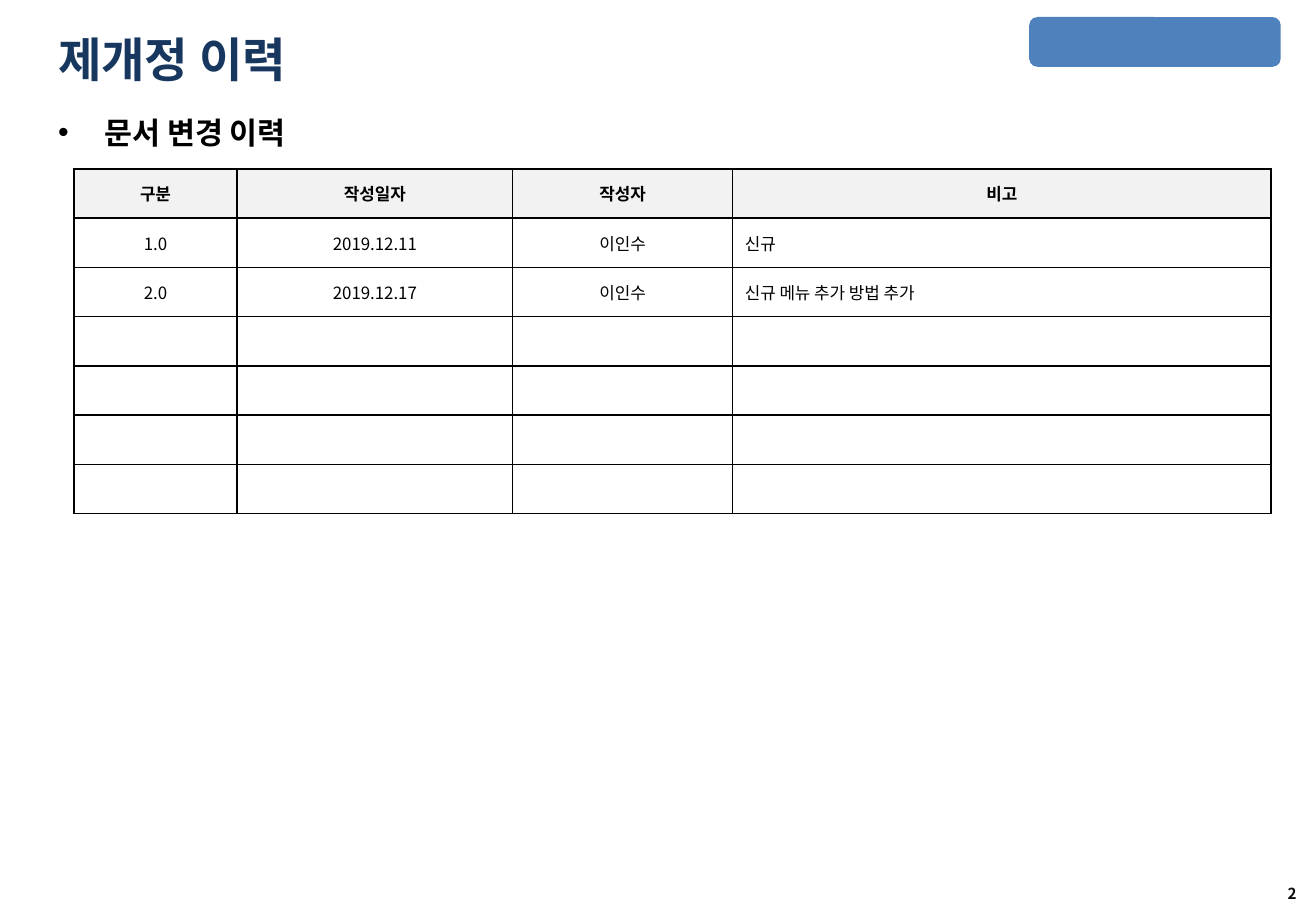
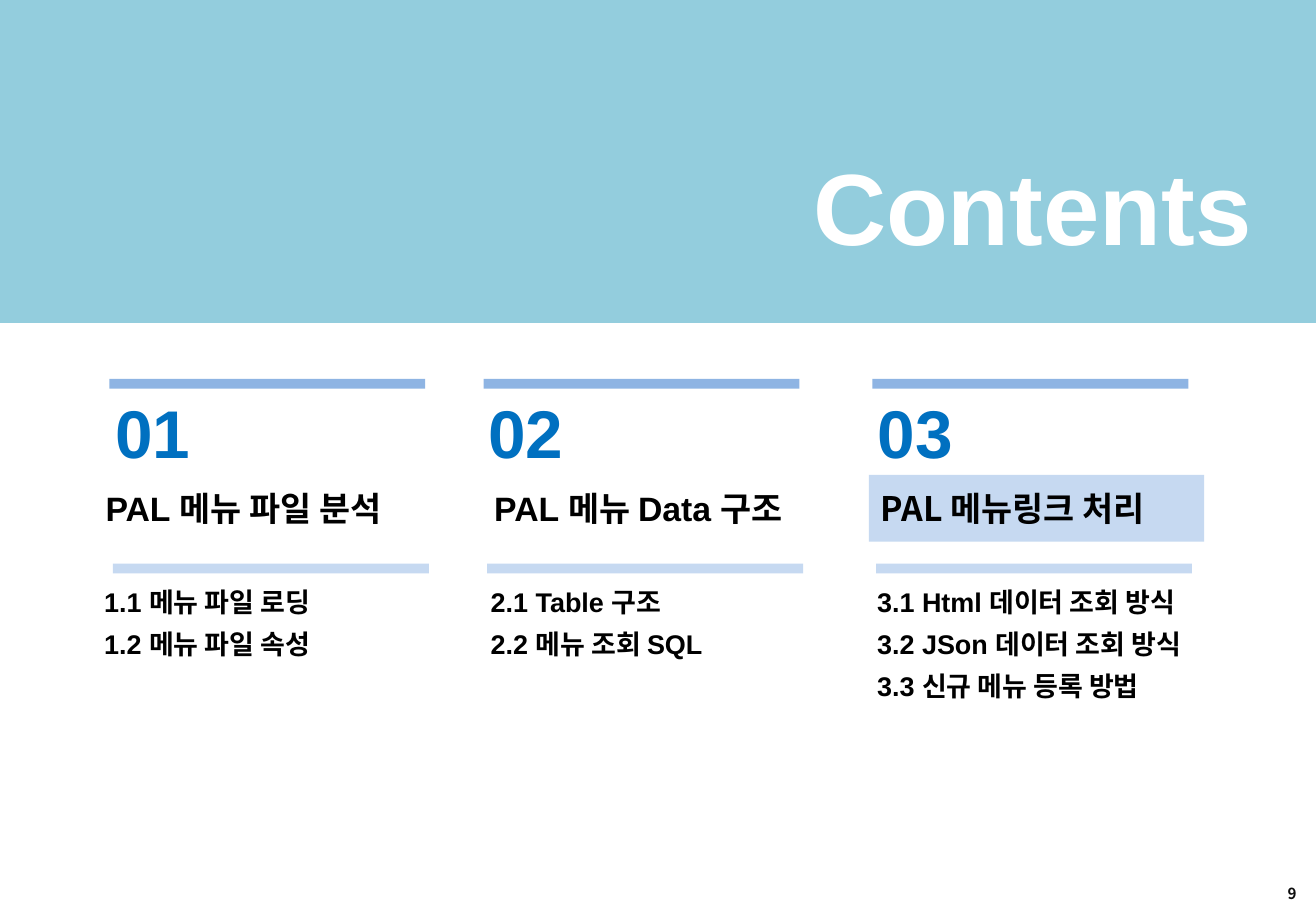
from lxml import etree
from pptx import Presentation
from pptx.dml.color import RGBColor
from pptx.enum import shapes, text
from pptx.oxml import ns
from pptx.util import Inches, Pt

SANS, LATIN = "Noto Sans CJK KR", "Arial"
BLACK, WHITE = "000000", "FFFFFF"
NAVY, BLUE, BADGE = "17375E", "0070C0", "4F81BD"
TEAL, MID, PALE, GRAY = "93CDDD", "8EB4E3", "C6D9F1", "F2F2F2"
LEFT, MIDDLE, RIGHT = text.PP_ALIGN.LEFT, text.PP_ALIGN.CENTER, text.PP_ALIGN.RIGHT

HISTORY = [
    ("구분", "작성일자", "작성자", "비고"),
    ("1.0", "2019.12.11", "이인수", "신규"),
    ("2.0", "2019.12.17", "이인수", "신규 메뉴 추가 방법 추가"),
] + [("",) * 4] * 4
WIDTHS = [1.34, 2.27, 1.81, 4.43]
HEIGHT = 2.84

PARTS = [
    dict(bar=0.9, num=("01", 0.85, LEFT),
         head=("PAL 메뉴 파일 분석", 0.77, 2.91, LEFT, LATIN),
         list=(0.76, 2.66), items=["1.1 메뉴 파일 로딩", "1.2 메뉴 파일 속성"]),
    dict(bar=3.98, num=("02", 3.92, LEFT),
         head=("PAL 메뉴 Data 구조", 3.76, 2.99, MIDDLE, LATIN),
         list=(3.94, 2.98), items=["2.1 Table 구조", "2.2 메뉴 조회 SQL"]),
    dict(bar=7.18, num=("03", 6.76, RIGHT),
         head=("PAL 메뉴링크 처리", 7.15, 2.91, LEFT, SANS),
         list=(7.12, 3.41),
         items=["3.1 Html 데이터 조회 방식", "3.2 JSon 데이터 조회 방식", "3.3 신규 메뉴 등록 방법"]),
]


def rgb(code):
    return RGBColor.from_string(code)


def add(node, tag, **attrs):
    return etree.SubElement(node, ns.qn(tag), attrs)


def style(frame, size, color=BLACK, font=SANS, align=LEFT, bold=True):
    for para in frame.paragraphs:
        para.alignment = align
        for run in para.runs:
            face = run.font
            face.size, face.bold, face.name = Pt(size), bold, font
            face.color.rgb = rgb(color)
            add(face._element, "a:ea", typeface=SANS)


def label(slide, at, words, size, anchor=text.MSO_ANCHOR.MIDDLE, **looks):
    box = slide.shapes.add_textbox(*map(Inches, at))
    frame = box.text_frame
    frame.word_wrap = True
    frame.vertical_anchor = anchor
    frame.text = words
    style(frame, size, **looks)
    return frame


def block(slide, at, color, kind=shapes.MSO_SHAPE.RECTANGLE):
    form = slide.shapes.add_shape(kind, *map(Inches, at))
    form.shadow.inherit = False
    form.fill.solid()
    form.fill.fore_color.rgb = rgb(color)
    form.line.fill.background()
    return form


def page(deck, number):
    slide = deck.slides.add_slide(deck.slide_layouts[6])
    frame = label(slide, (8.26, 7.15, 2.53, 0.41), number, 9, color="0D0D0D", align=RIGHT)
    frame.margin_left = frame.margin_right = Inches(0.12)
    frame.margin_top = frame.margin_bottom = Inches(0.06)
    return slide


def border(cell):
    props = cell._tc.get_or_add_tcPr()
    for spot, side in enumerate("LRTB"):
        line = add(props, f"a:ln{side}", w=str(Pt(1)))
        add(add(line, "a:solidFill"), "a:srgbClr", val=BLACK)
        props.insert(spot, line)


def grid(slide):
    table = slide.shapes.add_table(
        len(HISTORY), len(WIDTHS), *map(Inches, (0.61, 1.39, sum(WIDTHS), HEIGHT))).table
    for col, width in zip(table.columns, WIDTHS):
        col.width = Inches(width)
    for r, row in enumerate(HISTORY):
        table.rows[r].height = Inches(HEIGHT / len(HISTORY))
        for c, words in enumerate(row):
            cell = table.cell(r, c)
            cell.text = words
            cell.vertical_anchor = text.MSO_ANCHOR.MIDDLE
            cell.margin_top = cell.margin_bottom = Inches(0.03)
            cell.fill.solid()
            cell.fill.fore_color.rgb = rgb(WHITE if r else GRAY)
            style(cell.text_frame, 10, bold=r == 0,
                  align=LEFT if r and c == 3 else MIDDLE)
            border(cell)


def history(deck):
    slide = page(deck, "2")
    block(slide, (8.47, 0.14, 2.07, 0.41), BADGE, shapes.MSO_SHAPE.ROUNDED_RECTANGLE)
    label(slide, (0.38, 0.21, 9.75, 0.55), "제개정 이력", 28, color=NAVY)
    frame = label(slide, (0.38, 0.86, 9.91, 0.45), "문서 변경 이력", 18,
                  anchor=text.MSO_ANCHOR.TOP)
    para = frame.paragraphs[0]
    para.line_spacing, para.space_before = 1.1, Pt(5.4)
    props = para._p.get_or_add_pPr()
    props.set("marL", str(Inches(0.38)))
    props.set("indent", str(Inches(-0.38)))
    add(props, "a:buFont", typeface=LATIN)
    add(props, "a:buChar", char="•")
    grid(slide)


def contents(deck):
    slide = page(deck, "9")
    block(slide, (7.15, 3.91, 2.76, 0.55), PALE)
    block(slide, (0, 0, 10.83, 2.66), TEAL)
    for part in PARTS:
        block(slide, (part["bar"], 3.12, 2.6, 0.08), MID)
        block(slide, (part["bar"] + 0.03, 4.64, 2.6, 0.08), PALE)
        words, left, align = part["num"]
        label(slide, (left, 3.28, 1.18, 0.55), words, 40,
              color=BLUE, font=LATIN, align=align)
        words, left, width, align, font = part["head"]
        label(slide, (left, 3.91, width, 0.55), words, 20, font=font, align=align)
        left, width = part["list"]
        frame = label(slide, (left, 4.69, width, 1.89), "\n".join(part["items"]), 16,
                      anchor=text.MSO_ANCHOR.TOP, font=LATIN)
        for para in frame.paragraphs:
            para.line_spacing = 1.3
    label(slide, (0.65, 1.41, 9.75, 0.55), "Contents", 60,
          color=WHITE, font=LATIN, align=RIGHT)


def main():
    deck = Presentation()
    deck.slide_width, deck.slide_height = Inches(10.83), Inches(7.5)
    history(deck)
    contents(deck)
    deck.save("out.pptx")


if __name__ == "__main__":
    main()
